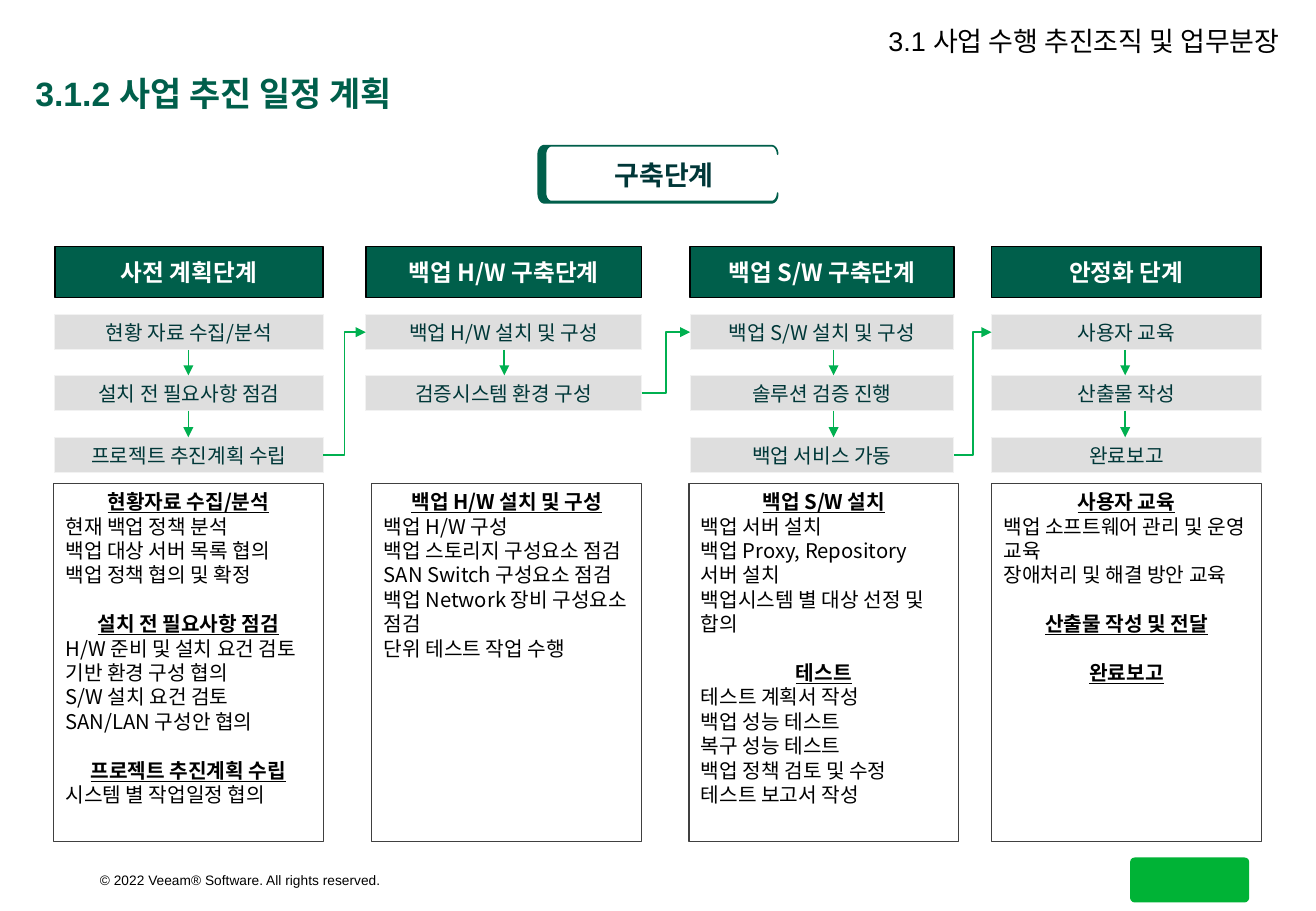
from math import cos, sin, radians

from lxml.etree import SubElement
from pptx import Presentation
from pptx.dml.color import RGBColor
from pptx.enum.shapes import MSO_CONNECTOR, MSO_SHAPE
from pptx.enum.text import MSO_ANCHOR, MSO_AUTO_SIZE, PP_ALIGN
from pptx.oxml.ns import qn
from pptx.util import Inches, Pt

INK = {
    "dark": "005F4B", "text": "003738", "arrow": "00B050", "step": "BFBFBF",
    "edge": "F2F2F2", "frame": "404040", "logo": "00B336",
    "black": "000000", "white": "FFFFFF",
}
SANS = "Arial"
CJK = "Noto Sans CJK KR"
LEFT, MID, RIGHT = PP_ALIGN.LEFT, PP_ALIGN.CENTER, PP_ALIGN.RIGHT

ROWS = (2.59, 3.09, 3.6)
STEP_H = 0.29
PITCH = Pt(14.45)

# Each stage: left, width, arrow axis, detail left, name, steps, details
STAGES = [
    (0.45, 2.21, 1.55, 0.44, "사전 계획단계",
     ["현황 자료 수집/분석", "설치 전 필요사항 점검", "프로젝트 추진계획 수립"],
     [("현황자료 수집/분석",
       ["현재 백업 정책 분석", "백업 대상 서버 목록 협의", "백업 정책 협의 및 확정"]),
      ("설치 전 필요사항 점검",
       ["H/W 준비 및 설치 요건 검토", "기반 환경 구성 협의",
        "S/W 설치 요건 검토", "SAN/LAN 구성안 협의"]),
      ("프로젝트 추진계획 수립", ["시스템 별 작업일정 협의"])]),
    (3.01, 2.27, 4.15, 3.06, "백업 H/W 구축단계",
     ["백업 H/W 설치 및 구성", "검증시스템 환경 구성"],
     [("백업 H/W 설치 및 구성",
       ["백업 H/W 구성", "백업 스토리지 구성요소 점검", "SAN Switch 구성요소 점검",
        "백업 Network 장비 구성요소 점검", "단위 테스트 작업 수행"])]),
    (5.68, 2.17, 6.86, 5.67, "백업 S/W 구축단계",
     ["백업 S/W 설치 및 구성", "솔루션 검증 진행", "백업 서비스 가동"],
     [("백업 S/W 설치",
       ["백업 서버 설치", "백업 Proxy, Repository 서버 설치",
        "백업시스템 별 대상 선정 및 합의"]),
      ("테스트",
       ["테스트 계획서 작성", "백업 성능 테스트", "복구 성능 테스트",
        "백업 정책 검토 및 수정", "테스트 보고서 작성"])]),
    (8.16, 2.22, 9.26, 8.16, "안정화 단계",
     ["사용자 교육", "산출물 작성", "완료보고"],
     [("사용자 교육", ["백업 소프트웨어 관리 및 운영 교육", "장애처리 및 해결 방안 교육"]),
      ("산출물 작성 및 전달", []),
      ("완료보고", [])]),
]


def tint(name):
    return RGBColor.from_string(INK[name])


def write(frame, text, size=12, font=CJK, color="black", bold=False,
          under=False, align=LEFT, line=None, gap=0):
    """Add one paragraph; the first call fills the empty one."""
    para = frame.paragraphs[0]
    if para.runs:
        para = frame.add_paragraph()
    props = para._p.get_or_add_pPr()
    props.set("marL", "0")
    props.set("indent", "0")
    SubElement(props, qn("a:buNone"))
    para.alignment = align
    para.space_before = Pt(gap)
    if line:
        para.line_spacing = line
    run = para.add_run()
    run.text = text
    face = run.font
    face.size, face.bold, face.underline = Pt(size), bold, under
    face.color.rgb = tint(color)
    face.name = font
    SubElement(run._r.get_or_add_rPr(), qn("a:ea")).set("typeface", CJK)


def setup(frame, anchor=MSO_ANCHOR.MIDDLE, wrap=True, pad=(0.1, 0.05, 0.1, 0.05)):
    frame.auto_size = MSO_AUTO_SIZE.NONE
    frame.word_wrap = wrap
    frame.vertical_anchor = anchor
    (frame.margin_left, frame.margin_top,
     frame.margin_right, frame.margin_bottom) = map(Inches, pad)
    return frame


def paint(shape, fill=None, edge=None, width=1, alpha=None):
    shape.shadow.inherit = False
    if fill:
        shape.fill.solid()
        shape.fill.fore_color.rgb = tint(fill)
        if alpha:
            tone = shape._element.spPr.find(".//" + qn("a:srgbClr"))
            SubElement(tone, qn("a:alpha")).set("val", str(alpha * 1000))
    else:
        shape.fill.background()
    if edge:
        shape.line.color.rgb = tint(edge)
        shape.line.width = Pt(width)
    else:
        shape.line.fill.background()


def box(slide, x, y, w, h, kind=MSO_SHAPE.RECTANGLE, **look):
    shape = slide.shapes.add_shape(kind, *map(Inches, (x, y, w, h)))
    paint(shape, **look)
    return shape


def arrow(slide, x1, y1, x2, y2, kind=MSO_CONNECTOR.STRAIGHT):
    link = slide.shapes.add_connector(kind, *map(Inches, (x1, y1, x2, y2)))
    link.line.color.rgb = tint("arrow")
    link.line.width = Pt(1)
    SubElement(link.line._get_or_add_ln(), qn("a:tailEnd")).set("type", "triangle")
    SubElement(link._element.spPr, qn("a:effectLst"))


def holder(shape, x, y, w, h, text, **form):
    shape.left, shape.top, shape.width, shape.height = map(Inches, (x, y, w, h))
    write(setup(shape.text_frame), text, font=SANS, line=0.9, **form)


def arc(x, y, start, end, rx=0.05, ry=0.07):
    """Points along a rounded corner; angles run clockwise from the right."""
    turns = [radians(start + (end - start) * i / 8) for i in range(9)]
    return [(x + rx * cos(t), y + ry * sin(t)) for t in turns]


def badge(slide):
    top = arc(6.35, 1.27, -90, 0)
    low = arc(6.35, 1.59, 90, 0)
    points = (top + top[::-1]
              + arc(4.54, 1.27, -90, -180) + arc(4.54, 1.59, 180, 90)
              + low + [(x, y + 0.01) for x, y in low[::-1]]
              + arc(4.48, 1.59, 90, 180, ry=0.08) + arc(4.48, 1.27, 180, 270))
    pen = slide.shapes.build_freeform(
        *map(Inches, points[0]), scale=1.0)
    pen.add_line_segments([(Inches(x), Inches(y)) for x, y in points[1:]], close=True)
    shape = pen.convert_to_shape()
    paint(shape, fill="dark", edge="dark")
    frame = setup(shape.text_frame, pad=(0.2, 0.05, 0.1, 0.05))
    write(frame, "구축단계", size=16, font=SANS, color="text", bold=True, align=MID)


def stage(slide, x, w, axis, side, name, steps, parts):
    # Header
    head = box(slide, x, 2.03, w, 0.42, fill="dark", edge="black")
    write(setup(head.text_frame), name, size=14, color="white", bold=True, align=MID)
    # Steps and the arrows between them
    for i, step in enumerate(steps):
        cell = box(slide, x, ROWS[i], w, STEP_H, fill="step", alpha=50,
                   edge="edge", width=0.5)
        frame = setup(cell.text_frame, wrap=False, pad=(0.06, 0.05, 0.06, 0.05))
        write(frame, step, color="text", align=MID)
        if i:
            arrow(slide, axis, ROWS[i - 1] + STEP_H, axis, ROWS[i])
    # Details
    panel = box(slide, side, 3.98, 2.22, 2.95, edge="frame", width=0.75)
    frame = setup(panel.text_frame, anchor=MSO_ANCHOR.TOP)
    for i, (title, items) in enumerate(parts):
        write(frame, title, bold=True, under=True, align=MID, line=PITCH,
              gap=14.45 if i else 0)
        for item in items:
            write(frame, item, line=PITCH)


def main():
    deck = Presentation()
    deck.slide_width, deck.slide_height = Inches(10.83), Inches(7.5)
    slide = deck.slides.add_slide(deck.slide_layouts[1])

    # Headings
    holder(slide.shapes.title, 0.19, 0.59, 9.6, 0.39, "3.1.2 사업 추진 일정 계획",
           size=20, color="dark", bold=True)
    holder(slide.placeholders[1], 6.3, 0.16, 4.33, 0.39,
           "3.1 사업 수행 추진조직 및 업무분장", size=16, align=RIGHT)
    badge(slide)

    # Stages, each linked to the next
    for data in STAGES:
        stage(slide, *data)
    for now, then in zip(STAGES, STAGES[1:]):
        last = ROWS[len(now[5]) - 1]
        arrow(slide, now[0] + now[1], last + STEP_H / 2,
              then[0], ROWS[0] + STEP_H / 2, kind=MSO_CONNECTOR.ELBOW)

    # Footer
    note = slide.shapes.add_textbox(*map(Inches, (0.7, 7.13, 2.53, 0.24)))
    write(setup(note.text_frame, anchor=MSO_ANCHOR.TOP, wrap=False),
          "© 2022 Veeam® Software. All rights reserved.",
          size=8.1, font=SANS, align=RIGHT)
    mark = box(slide, 9.3, 7.06, 0.98, 0.37, kind=MSO_SHAPE.ROUNDED_RECTANGLE,
               fill="logo")
    mark.adjustments[0] = 0.1

    deck.save("out.pptx")


if __name__ == "__main__":
    main()
